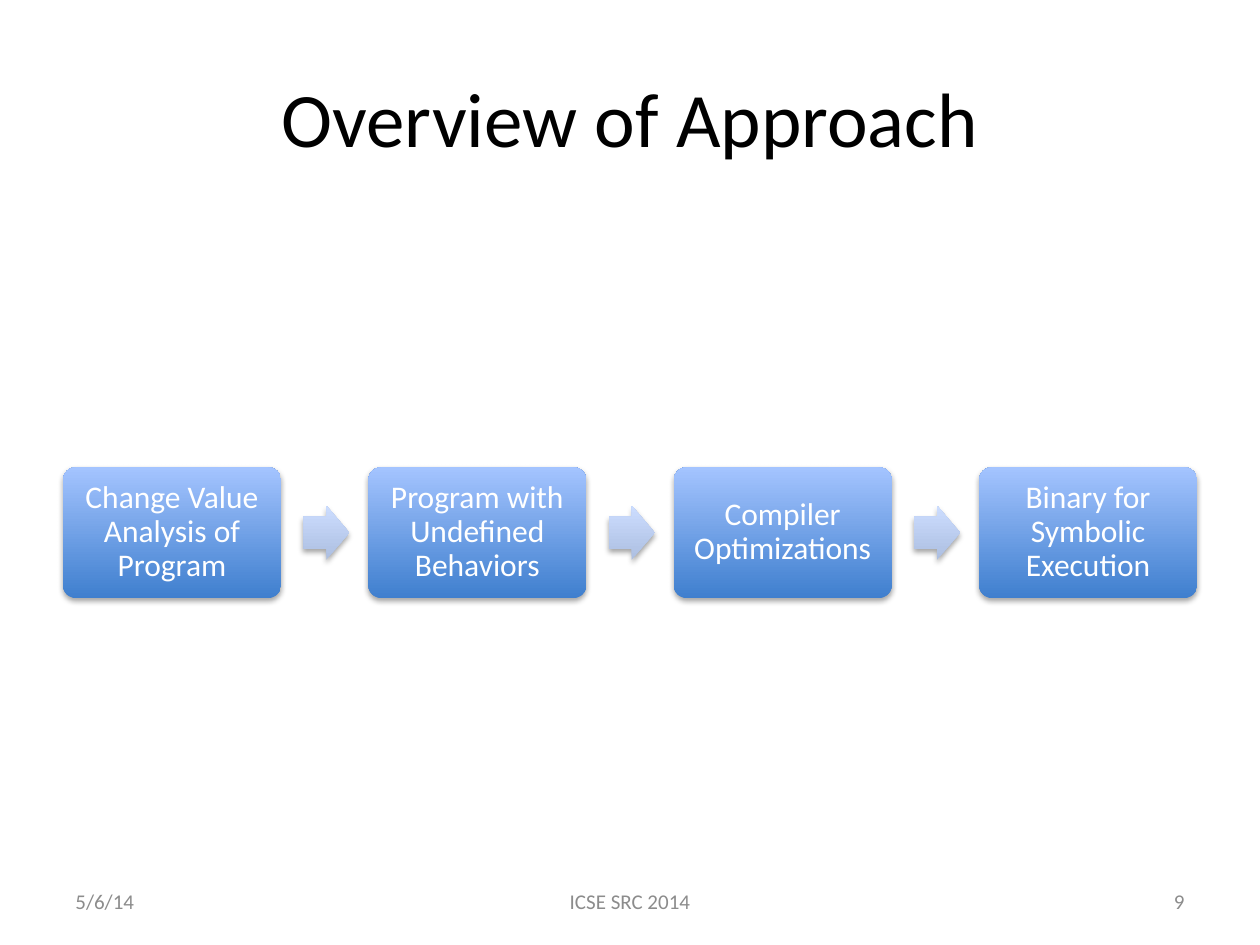
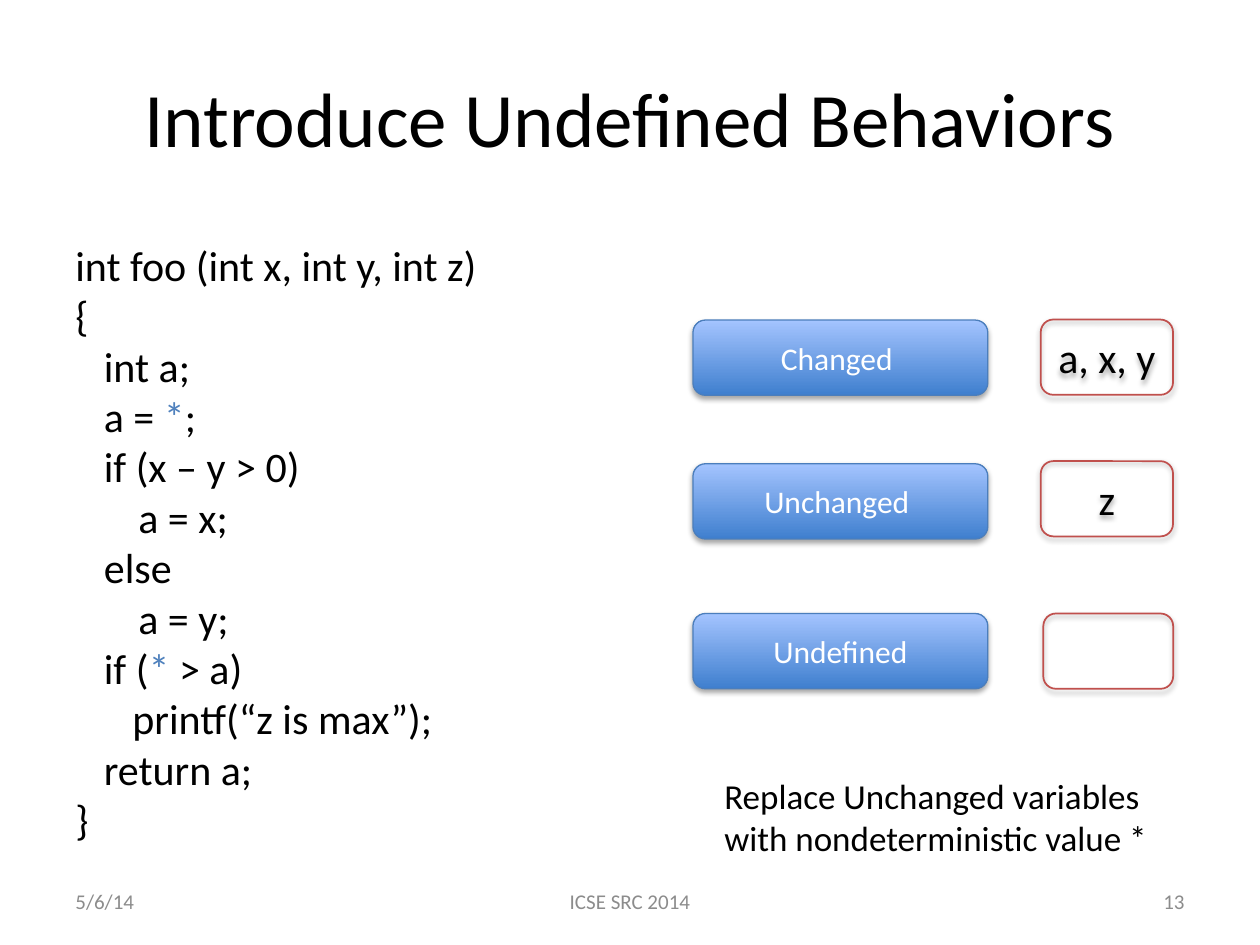
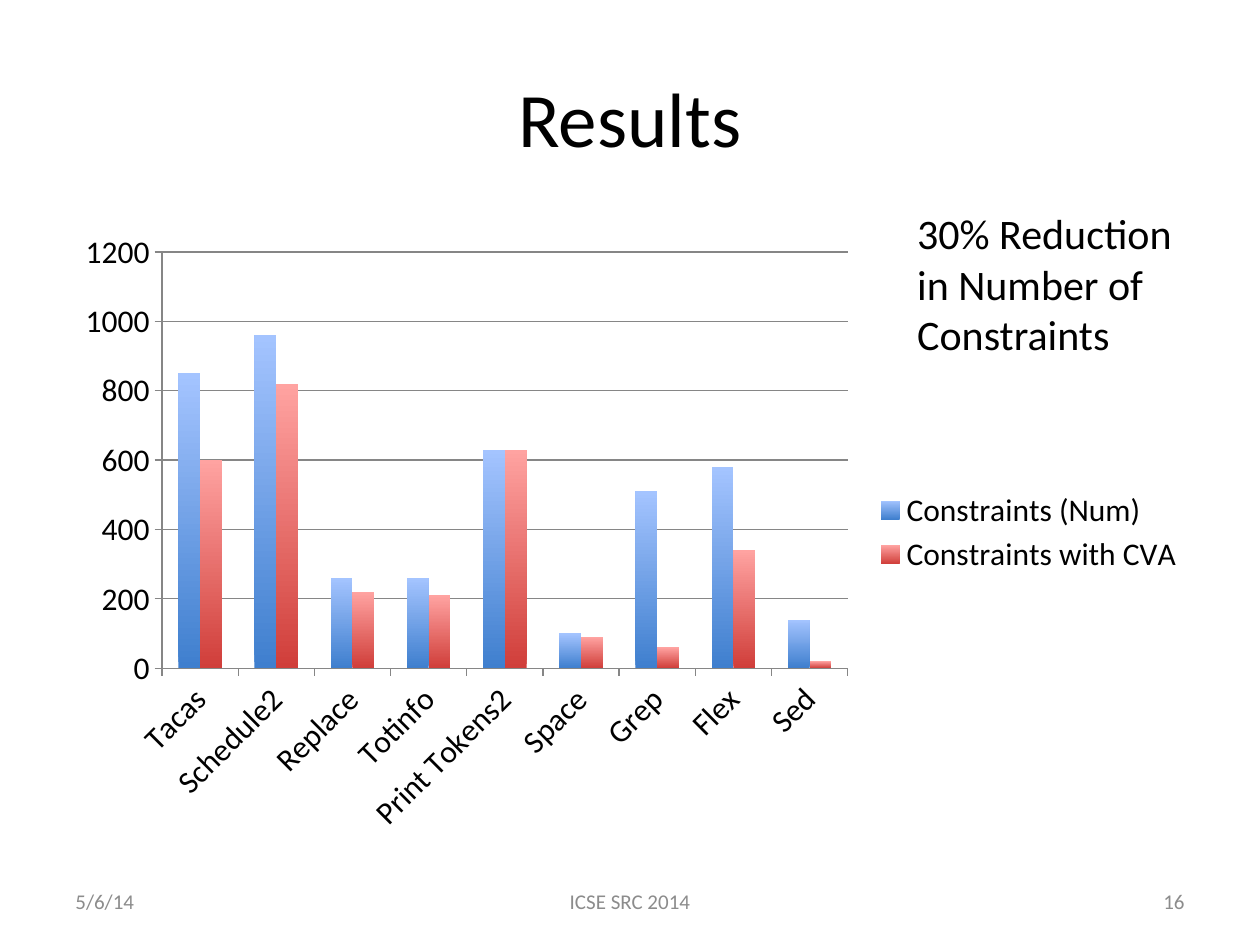
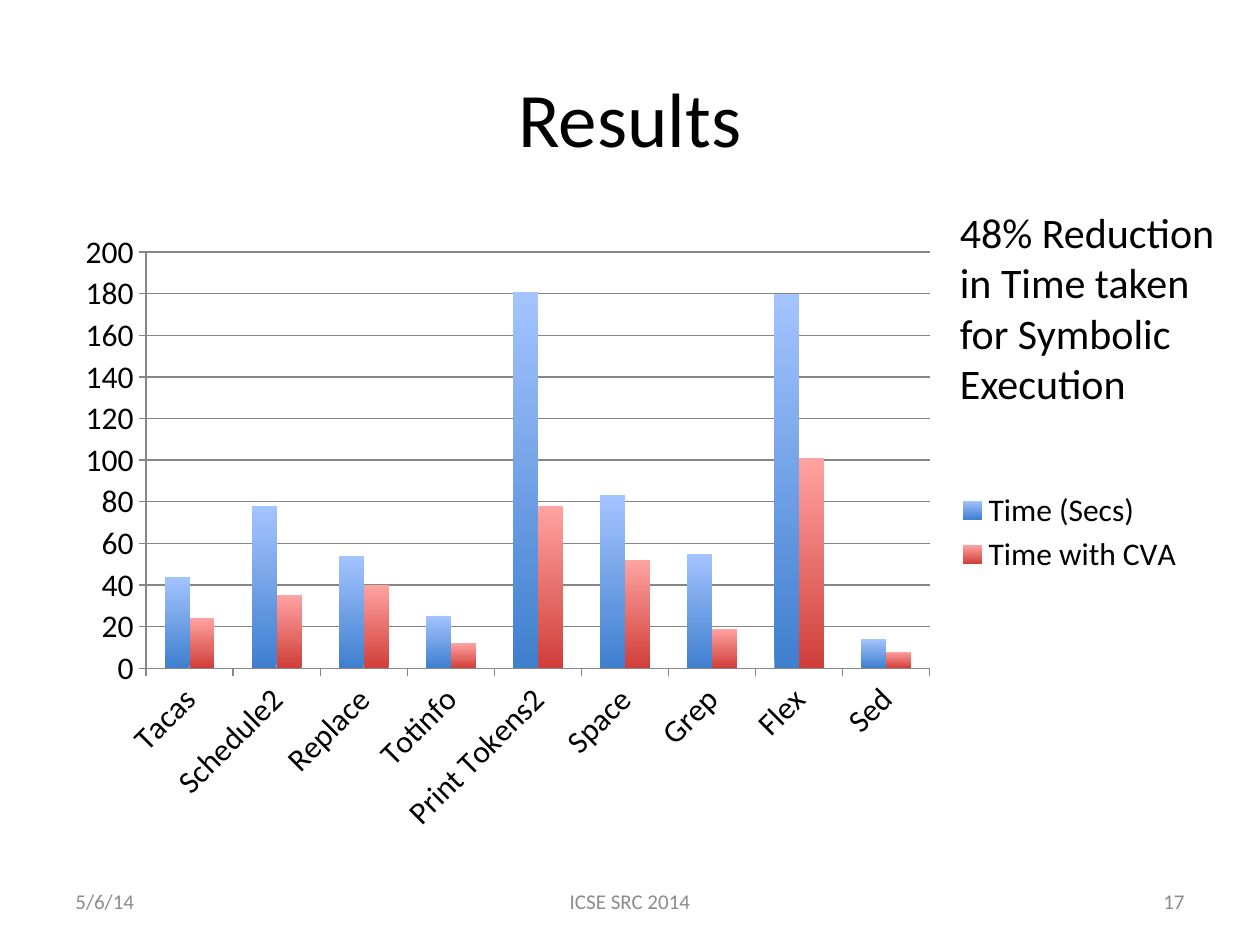
"""Build four slides on change value analysis for symbolic execution."""
from lxml.etree import SubElement
from pptx import Presentation
from pptx.chart.data import CategoryChartData
from pptx.dml.color import RGBColor
from pptx.enum.chart import XL_CHART_TYPE as ChartType, XL_LEGEND_POSITION as LegendPosition
from pptx.enum.chart import XL_TICK_MARK as TickMark
from pptx.enum.shapes import MSO_SHAPE as Shape
from pptx.enum.text import MSO_ANCHOR as Anchor, PP_ALIGN as Align
from pptx.oxml.ns import qn
from pptx.util import Pt

FONT = "Calibri"
BLACK = RGBColor(0x00, 0x00, 0x00)
WHITE = RGBColor(0xFF, 0xFF, 0xFF)
FOOTER_GRAY = RGBColor(0x8C, 0x8C, 0x8C)
AXIS_GRAY = RGBColor(0x86, 0x86, 0x86)
ACCENT_BLUE = RGBColor(0x4F, 0x81, 0xBD)
EDGE_BLUE = RGBColor(0x4B, 0x7E, 0xBC)
EDGE_RED = RGBColor(0xC0, 0x50, 0x4D)
BLUE_BLEND = (RGBColor(0x3F, 0x7F, 0xCE), RGBColor(0xA4, 0xC4, 0xFF))
PALE_BLEND = (RGBColor(0xAD, 0xBF, 0xE1), RGBColor(0xCC, 0xDD, 0xFF))
RED_BLEND = (RGBColor(0xD0, 0x3E, 0x3A), RGBColor(0xFF, 0xA3, 0xA1))

DATE, VENUE = "5/6/14", "ICSE SRC 2014"
STAGES = [
    "Change Value Analysis of Program",
    "Program with Undefined Behaviors",
    "Compiler Optimizations",
    "Binary for Symbolic Execution",
]
BLOCK, NESTED_CALL, NESTED = 16.3, 32.6, 36
CODE = [
    (0, "int foo (int x, int y, int z)"),
    (0, "{"),
    (BLOCK, "int a;"),
    (BLOCK, "a = *;"),
    (BLOCK, "if (x – y > 0)"),
    (NESTED, "a = x;"),
    (BLOCK, "else"),
    (NESTED, "a = y;"),
    (BLOCK, "if (* > a)"),
    (NESTED_CALL, "printf(“z is max”);"),
    (BLOCK, "return a;"),
    (0, "}"),
]
VARIABLE_GROUPS = [
    ("Changed ", 182.9, "a, x, y", (594.7, 182.6, 75.6, 43)),
    ("Unchanged ", 265, "z", (594.7, 263.5, 75.6, 43)),
    ("Undefined", 350.6, "", (596.2, 350.6, 74.2, 43)),
]
RULE = "Replace Unchanged variables with nondeterministic value *"
PROGRAMS = ["Tacas", "Schedule2", "Replace", "Totinfo", "Print Tokens2",
            "Space", "Grep", "Flex", "Sed"]
RESULTS = [
    {
        "number": 16,
        "finding": "30% Reduction in Number of Constraints",
        "finding_box": (517, 115.2, 167, 94.3),
        "series": {
            "Constraints (Num)": (850, 960, 260, 260, 630, 100, 510, 580, 140),
            "Constraints with CVA": (600, 820, 220, 210, 630, 90, 60, 340, 20),
        },
    },
    {
        "number": 17,
        "finding": "48% Reduction in Time taken for Symbolic Execution",
        "finding_box": (541.4, 114.3, 167, 123.8),
        "series": {
            "Time (Secs)": (44, 78, 54, 25, 181, 83, 55, 180, 14),
            "Time with CVA": (24, 35, 40, 12, 78, 52, 19, 101, 8),
        },
    },
]


def points(box):
    return [Pt(length) for length in box]


def write(shape, lines, size=24, color=BLACK, align=Align.LEFT, anchor=Anchor.TOP,
          spacing=None, inset=None, accent=None):
    """Fill a shape with (indent, text) lines, colouring each * in the accent colour."""
    frame = shape.text_frame
    frame.word_wrap = True
    frame.vertical_anchor = anchor
    if inset is not None:
        frame.margin_left = frame.margin_right = Pt(inset)
        frame.margin_top = frame.margin_bottom = Pt(inset)
    if isinstance(lines, str):
        lines = [(0, lines)]
    for index, (indent, text) in enumerate(lines):
        paragraph = frame.add_paragraph() if index else frame.paragraphs[0]
        paragraph.alignment = align
        if spacing:
            paragraph.line_spacing = spacing
        if indent:
            paragraph._p.get_or_add_pPr().set("marL", str(Pt(indent)))
        pieces = text.replace("*", "\n*\n").split("\n") if accent else [text]
        for piece in filter(None, pieces):
            run = paragraph.add_run()
            run.text = piece
            run.font.name, run.font.size = FONT, Pt(size)
            run.font.color.rgb = accent if accent and piece == "*" else color


def add_text(slide, box, lines, **style):
    write(slide.shapes.add_textbox(*points(box)), lines, **style)


def blend(fill, colors):
    fill.gradient()
    fill.gradient_angle = 90
    for stop, color in zip(fill.gradient_stops, colors):
        stop.color.rgb = color


def add_block(slide, kind, box, colors=None, edge=None, edge_width=0.75, adjust=()):
    """Add a shape with a soft shadow below it."""
    block = slide.shapes.add_shape(kind, *points(box))
    for index, ratio in enumerate(adjust):
        block.adjustments[index] = ratio
    if colors:
        blend(block.fill, colors)
    else:
        block.fill.background()
    if edge:
        block.line.color.rgb = edge
        block.line.width = Pt(edge_width)
    else:
        block.line.fill.background()
    block.shadow.inherit = False
    effects = block._element.spPr.find(qn("a:effectLst"))
    shadow = SubElement(effects, qn("a:outerShdw"), blurRad=str(Pt(3.1)),
                        dist=str(Pt(1.8)), dir="5400000", rotWithShape="0")
    tone = SubElement(shadow, qn("a:srgbClr"), val=str(BLACK))
    SubElement(tone, qn("a:alpha"), val="35000")
    return block


def add_slide(deck, title, number):
    """Add a blank slide with the shared title and footer."""
    slide = deck.slides.add_slide(deck.slide_layouts[6])
    add_text(slide, (36, 21.6, 648, 90), title, size=44, align=Align.CENTER,
             anchor=Anchor.MIDDLE)
    for left, width, text, align in [(36, 168, DATE, Align.LEFT),
                                     (246, 228, VENUE, Align.CENTER),
                                     (516, 168, str(number), Align.RIGHT)]:
        add_text(slide, (left, 500.5, width, 28.75), text, size=12, color=FOOTER_GRAY,
                 align=align, anchor=Anchor.MIDDLE)
    return slide


def add_overview(deck):
    slide = add_slide(deck, "Overview of Approach", 9)
    width, height, step, middle = 124.6, 74.8, 174.5, 304.4
    arrow_width, arrow_height, arrow_offset = 26.4, 30.9, 137.3
    for index, stage in enumerate(STAGES):
        left = 36 + index * step
        block = add_block(slide, Shape.ROUNDED_RECTANGLE,
                          (left, middle - height / 2, width, height),
                          colors=BLUE_BLEND, adjust=[0.1])
        write(block, stage, size=18, color=WHITE, align=Align.CENTER,
              anchor=Anchor.MIDDLE, spacing=0.9, inset=5)
        if index < len(STAGES) - 1:
            add_block(slide, Shape.RIGHT_ARROW,
                      (left + arrow_offset, middle - arrow_height / 2,
                       arrow_width, arrow_height),
                      colors=PALE_BLEND, adjust=[0.6, 0.5])


def add_behaviors(deck):
    slide = add_slide(deck, "Introduce Undefined Behaviors", 13)
    add_text(slide, (36, 133.2, 360, 356.4), CODE, accent=ACCENT_BLUE)
    centered = {"align": Align.CENTER, "anchor": Anchor.MIDDLE}
    for group, top, variables, variables_box in VARIABLE_GROUPS:
        label = add_block(slide, Shape.ROUNDED_RECTANGLE, (396, top, 168.5, 43),
                          colors=BLUE_BLEND, edge=EDGE_BLUE)
        write(label, group, size=18, color=WHITE, **centered)
        holder = add_block(slide, Shape.ROUNDED_RECTANGLE, variables_box,
                           edge=EDGE_RED, edge_width=1)
        if variables:
            write(holder, variables, **centered)
    add_text(slide, (406.8, 439.2, 263.5, 55.4), RULE, size=20)


def add_results(deck, result):
    slide = add_slide(deck, "Results", result["number"])
    data = CategoryChartData()
    data.categories = PROGRAMS
    for name, values in result["series"].items():
        data.add_series(name, values)
    chart = slide.shapes.add_chart(ChartType.COLUMN_CLUSTERED,
                                   *points((36, 126, 648, 356.4)), data).chart
    chart.has_title = False
    chart.font.name, chart.font.size = FONT, Pt(18)
    chart.font.color.rgb = BLACK
    chart.has_legend = True
    chart.legend.position = LegendPosition.RIGHT
    chart.legend.include_in_layout = False
    for axis in (chart.category_axis, chart.value_axis):
        axis.major_tick_mark = TickMark.OUTSIDE
        axis.minor_tick_mark = TickMark.NONE
        axis.format.line.color.rgb = AXIS_GRAY
    chart.value_axis.has_major_gridlines = True
    chart.value_axis.major_gridlines.format.line.color.rgb = AXIS_GRAY
    plot = chart.plots[0]
    plot.gap_width = 150
    plot.vary_by_categories = False
    for series, colors in zip(plot.series, (BLUE_BLEND, RED_BLEND)):
        blend(series.format.fill, colors)
    add_text(slide, result["finding_box"], result["finding"])


def main():
    deck = Presentation()
    deck.slide_width, deck.slide_height = Pt(720), Pt(540)
    add_overview(deck)
    add_behaviors(deck)
    for result in RESULTS:
        add_results(deck, result)
    deck.save("out.pptx")


if __name__ == "__main__":
    main()
